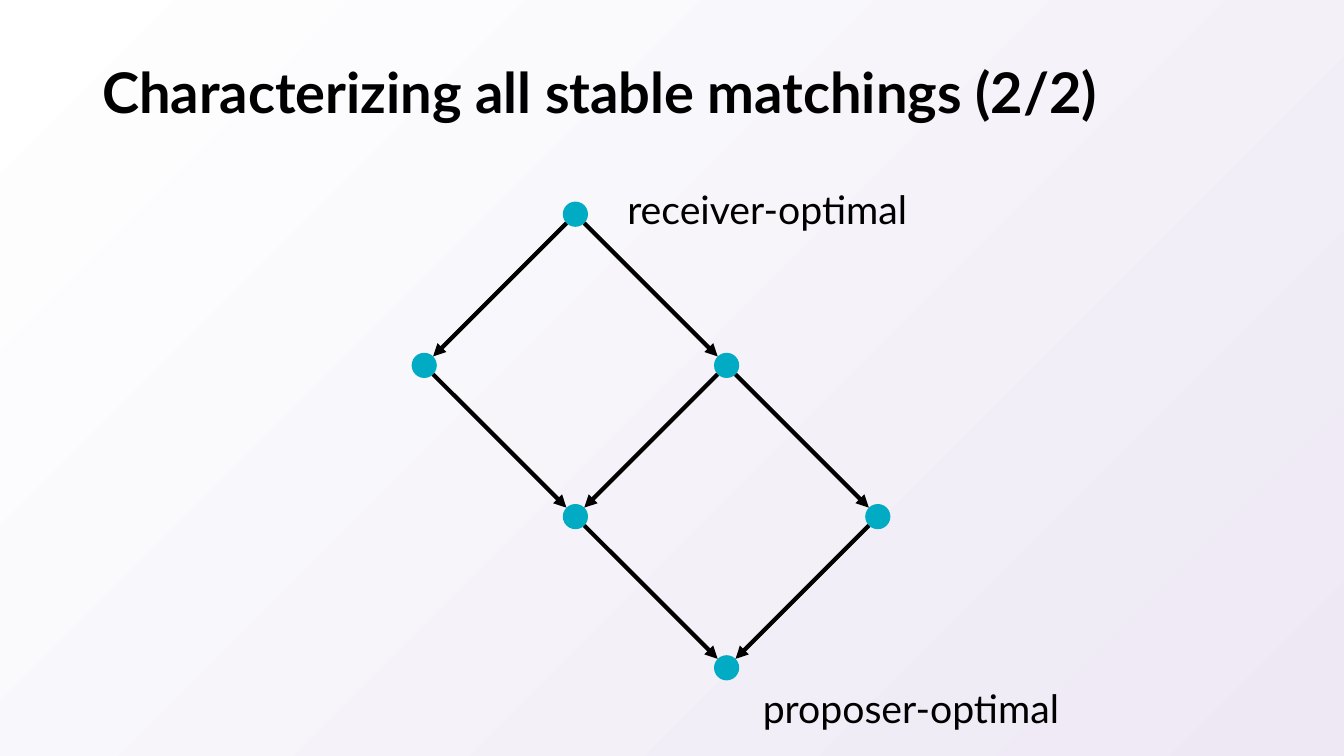
from math import sqrt
from typing import NamedTuple

from lxml.etree import SubElement
from pptx import Presentation
from pptx.dml.color import RGBColor
from pptx.enum.shapes import MSO_CONNECTOR, MSO_SHAPE
from pptx.enum.text import MSO_ANCHOR, MSO_AUTO_SIZE, PP_ALIGN
from pptx.oxml.ns import qn
from pptx.slide import Slide
from pptx.text.text import _Paragraph
from pptx.util import Emu, Pt

EMU_PER_PX = 9525
FONT = "Lato"
BLACK = "000000"
TEAL = "00ABC3"
BACKGROUND = ("FFFFFF", "EDE8F4")

LATTICE_LEFT, LATTICE_TOP = 404, 204
STEP = 144
RADIUS = 12


class Matching(NamedTuple):
    """A stable matching at a column and row of the lattice."""
    column: int
    row: int

    @property
    def x(self) -> int:
        return LATTICE_LEFT + self.column * STEP

    @property
    def y(self) -> int:
        return LATTICE_TOP + self.row * STEP


class Label(NamedTuple):
    text: str
    left: int
    top: int
    width: int
    height: int


RECEIVER_OPTIMAL = Matching(1, 0)
LEFT = Matching(0, 1)
RIGHT = Matching(2, 1)
MIDDLE = Matching(1, 2)
FAR_RIGHT = Matching(3, 2)
PROPOSER_OPTIMAL = Matching(2, 3)

MATCHINGS = (LEFT, RECEIVER_OPTIMAL, RIGHT, MIDDLE, FAR_RIGHT, PROPOSER_OPTIMAL)
ARROWS = (
    (RECEIVER_OPTIMAL, LEFT),
    (RECEIVER_OPTIMAL, RIGHT),
    (LEFT, MIDDLE),
    (RIGHT, MIDDLE),
    (MIDDLE, PROPOSER_OPTIMAL),
    (RIGHT, FAR_RIGHT),
    (FAR_RIGHT, PROPOSER_OPTIMAL),
)
LABELS = (
    Label("proposer-optimal", 717, 636, 308, 60),
    Label("receiver-optimal", 588, 161, 294, 60),
)


def px(length: float) -> Emu:
    return Emu(round(length * EMU_PER_PX))


def color(hex_code: str) -> RGBColor:
    return RGBColor.from_string(hex_code)


def add_run(paragraph: _Paragraph, text: str, size: int, bold: bool = False) -> None:
    run = paragraph.add_run()
    run.text = text
    run.font.name = FONT
    run.font.size = Pt(size)
    run.font.bold = bold
    run.font.color.rgb = color(BLACK)


def paint_background(slide: Slide) -> None:
    fill = slide.background.fill
    fill.gradient()
    fill.gradient_angle = 315
    for stop, hex_code in zip(fill.gradient_stops, BACKGROUND):
        stop.color.rgb = color(hex_code)


def fill_title(slide: Slide, text: str) -> None:
    title = slide.shapes.title
    title.left, title.top, title.width, title.height = map(px, (88, 38, 1104, 105))
    frame = title.text_frame
    frame.auto_size = MSO_AUTO_SIZE.NONE
    frame.vertical_anchor = MSO_ANCHOR.MIDDLE
    paragraph = frame.paragraphs[0]
    paragraph.alignment = PP_ALIGN.LEFT
    paragraph.line_spacing = 0.9
    add_run(paragraph, text, 40, bold=True)


def draw_matching(slide: Slide, matching: Matching) -> None:
    dot = slide.shapes.add_shape(
        MSO_SHAPE.OVAL, px(matching.x - RADIUS), px(matching.y - RADIUS),
        px(2 * RADIUS), px(2 * RADIUS))
    dot.shadow.inherit = False
    dot.fill.solid()
    dot.fill.fore_color.rgb = color(TEAL)
    dot.line.fill.background()


def draw_arrow(slide: Slide, start: Matching, end: Matching) -> None:
    """Join two diagonal neighbours from rim to rim."""
    inset = RADIUS / sqrt(2)
    dx = inset if end.x > start.x else -inset
    arrow = slide.shapes.add_connector(
        MSO_CONNECTOR.STRAIGHT, px(start.x + dx), px(start.y + inset),
        px(end.x - dx), px(end.y - inset))
    arrow.line.color.rgb = color(BLACK)
    arrow.line.width = Pt(3)
    SubElement(arrow.line._get_or_add_ln(), qn("a:tailEnd"), type="triangle")
    SubElement(arrow._element.spPr, qn("a:effectLst"))


def draw_label(slide: Slide, label: Label) -> None:
    box = slide.shapes.add_textbox(*map(px, label[1:]))
    frame = box.text_frame
    frame.word_wrap = False
    frame.auto_size = MSO_AUTO_SIZE.SHAPE_TO_FIT_TEXT
    paragraph = frame.paragraphs[0]
    paragraph.line_spacing = 1.25
    paragraph.space_before = Pt(24)
    add_run(paragraph, label.text, 28)


def main() -> None:
    presentation = Presentation()
    presentation.slide_width, presentation.slide_height = px(1280), px(720)
    slide = presentation.slides.add_slide(presentation.slide_layouts[5])
    paint_background(slide)
    fill_title(slide, "Characterizing all stable matchings (2/2)")
    for matching in MATCHINGS:
        draw_matching(slide, matching)
    for start, end in ARROWS:
        draw_arrow(slide, start, end)
    for label in LABELS:
        draw_label(slide, label)
    presentation.save("out.pptx")


if __name__ == "__main__":
    main()
